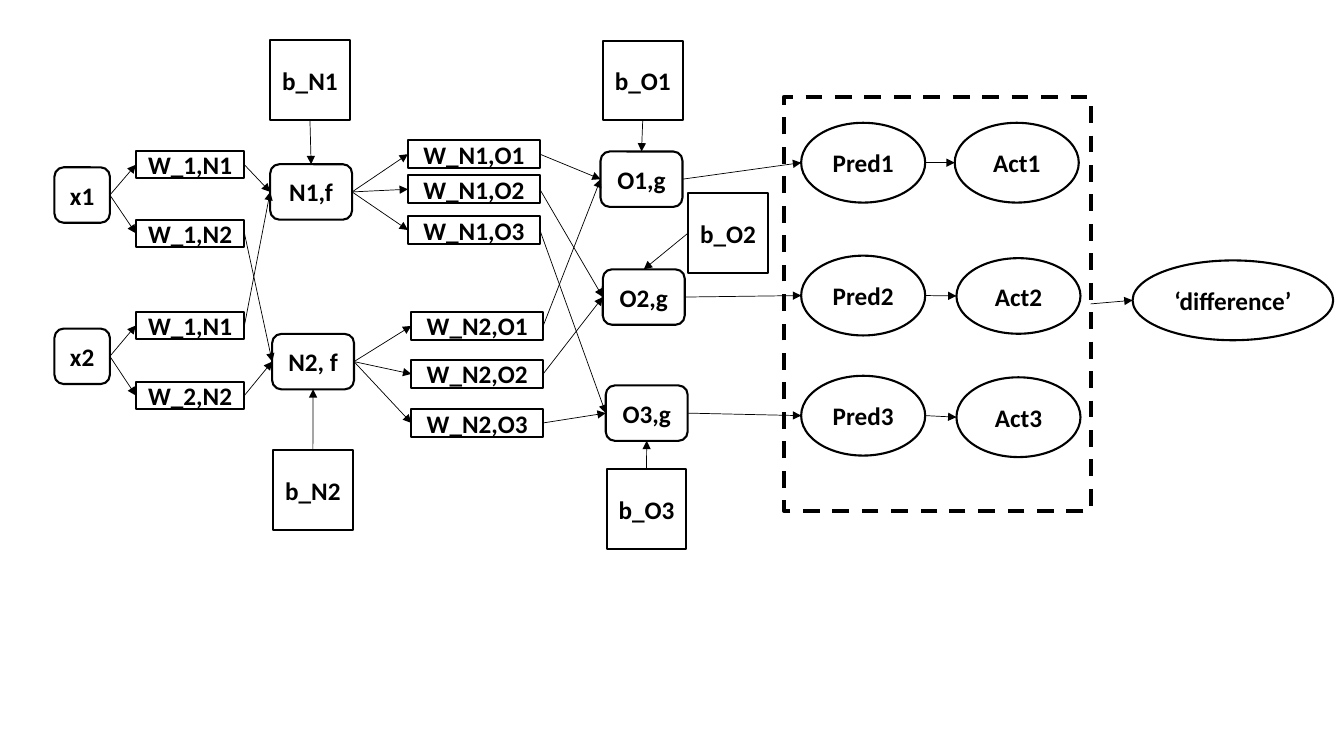
from lxml import etree
from pptx import Presentation
from pptx.dml.color import RGBColor
from pptx.enum.dml import MSO_LINE
from pptx.enum.shapes import MSO_CONNECTOR, MSO_SHAPE
from pptx.enum.text import MSO_ANCHOR, PP_ALIGN
from pptx.oxml.ns import qn
from pptx.util import Pt

RECT, ROUND, OVAL = MSO_SHAPE.RECTANGLE, MSO_SHAPE.ROUNDED_RECTANGLE, MSO_SHAPE.OVAL
STRAIGHT = MSO_CONNECTOR.STRAIGHT
DASH = MSO_LINE.DASH
MIDDLE, CENTER = MSO_ANCHOR.MIDDLE, PP_ALIGN.CENTER
TOP, LEFT, BOTTOM, RIGHT = range(4)
COLORS = {"ink": "000000"}
FONT = {"name": "Calibri", "size": Pt(18), "bold": True}

STYLES = {
    "input": (ROUND, 39.6, 39.6),
    "neuron": (ROUND, 58.5, 39.6),
    "weight_in": (RECT, 77.6, 19.4),
    "weight_out": (RECT, 94.2, 20),
    "bias": (RECT, 57, 57),
    "value": (OVAL, 88.6, 57),
    "value_flat": (OVAL, 88.6, 54),
    "result": (OVAL, 143.3, 57),
}

NODES = [
    ("x1", "input", 38.9, 119.5),
    ("x2", "input", 38.9, 234.7),
    ("N1,f", "neuron", 193, 117.3),
    ("N2, f", "neuron", 194.4, 238.5),
    ("O1,g", "neuron", 429, 108.2),
    ("O2,g", "neuron", 430.6, 192.4),
    ("O3,g", "neuron", 432.7, 275.3),
    ("b_N1", "bias", 192.9, 28.7),
    ("b_N2", "bias", 195, 321.6),
    ("b_O1", "bias", 430.6, 29),
    ("b_O2", "bias", 491.5, 138),
    ("b_O3", "bias", 433.3, 335),
    ("Pred1", "value", 572.3, 87.7),
    ("Pred2", "value", 572.3, 182.6),
    ("Pred3", "value", 572.3, 268.4),
    ("Act1", "value", 682, 87.7),
    ("Act2", "value_flat", 683.2, 184.4),
    ("Act3", "value", 683.2, 269.5),
    ("‘difference’", "result", 809, 186),
]

WEIGHTS = [
    ("W_1,N1", "weight_in", 97, 108, "x1", "N1,f"),
    ("W_1,N2", "weight_in", 97, 156.9, "x1", "N2, f"),
    ("W_1,N1", "weight_in", 97, 222.8, "x2", "N1,f"),
    ("W_2,N2", "weight_in", 97, 272.8, "x2", "N2, f"),
    ("W_N1,O1", "weight_out", 291.4, 100.1, "N1,f", "O1,g"),
    ("W_N1,O2", "weight_out", 291.4, 125.2, "N1,f", "O2,g"),
    ("W_N1,O3", "weight_out", 291.4, 154.3, "N1,f", "O3,g"),
    ("W_N2,O1", "weight_out", 293.8, 222.8, "N2, f", "O1,g"),
    ("W_N2,O2", "weight_out", 293.8, 257.1, "N2, f", "O2,g"),
    ("W_N2,O3", "weight_out", 293.8, 292.1, "N2, f", "O3,g"),
]

BIAS_ARROWS = [
    ("b_N1", BOTTOM, "N1,f", TOP),
    ("b_N2", TOP, "N2, f", BOTTOM),
    ("b_O1", BOTTOM, "O1,g", TOP),
    ("b_O2", LEFT, "O2,g", TOP),
    ("b_O3", TOP, "O3,g", BOTTOM),
]


def add_outline(s, preset, x, y, w, h, weight=1.5):
    sp = s.shapes.add_shape(preset, Pt(x), Pt(y), Pt(w), Pt(h))
    sp.shadow.inherit = False
    sp.fill.background()
    sp.line.color.rgb = RGBColor.from_string(COLORS["ink"])
    sp.line.width = Pt(weight)
    return sp


def add_node(s, text, style, x, y):
    preset, w, h = STYLES[style]
    sp = add_outline(s, preset, x, y, w, h)
    tf = sp.text_frame
    tf.word_wrap = True
    tf.vertical_anchor = MIDDLE
    p = tf.paragraphs[0]
    p.alignment = CENTER
    r = p.add_run()
    r.text = text
    for name, value in FONT.items():
        setattr(r.font, name, value)
    r.font.color.rgb = RGBColor.from_string(COLORS["ink"])
    return sp


def side_point(sp, side):
    mid_x, mid_y = sp.left + sp.width // 2, sp.top + sp.height // 2
    return {
        TOP: (mid_x, sp.top),
        LEFT: (sp.left, mid_y),
        BOTTOM: (mid_x, sp.top + sp.height),
        RIGHT: (sp.left + sp.width, mid_y),
    }[side]


def add_arrow(s, start, end, start_side=RIGHT, end_side=LEFT):
    cx = s.shapes.add_connector(
        STRAIGHT, *side_point(start, start_side), *side_point(end, end_side))
    if start.auto_shape_type != OVAL:
        cx.begin_connect(start, start_side)
    if end.auto_shape_type != OVAL:
        cx.end_connect(end, end_side)
    cx.line.color.rgb = RGBColor.from_string(COLORS["ink"])
    cx.line.width = Pt(0.5)
    etree.SubElement(cx.line._get_or_add_ln(), qn("a:tailEnd"), type="triangle")
    etree.SubElement(cx._element.spPr, qn("a:effectLst"))


def main():
    prs = Presentation()
    prs.slide_width, prs.slide_height = Pt(960), Pt(540)
    s = prs.slides.add_slide(prs.slide_layouts[6])

    nodes = {text: add_node(s, text, style, x, y) for text, style, x, y in NODES}
    for text, style, x, y, source, target in WEIGHTS:
        weight = add_node(s, text, style, x, y)
        add_arrow(s, nodes[source], weight)
        add_arrow(s, weight, nodes[target])
    for bias, start_side, neuron, end_side in BIAS_ARROWS:
        add_arrow(s, nodes[bias], nodes[neuron], start_side, end_side)
    for i in range(1, 4):
        add_arrow(s, nodes[f"O{i},g"], nodes[f"Pred{i}"])
        add_arrow(s, nodes[f"Pred{i}"], nodes[f"Act{i}"])

    frame = add_outline(s, RECT, 560, 69.2, 219.1, 295.8, weight=3)
    frame.line.dash_style = DASH
    add_arrow(s, frame, nodes["‘difference’"])
    prs.save("out.pptx")


if __name__ == "__main__":
    main()
